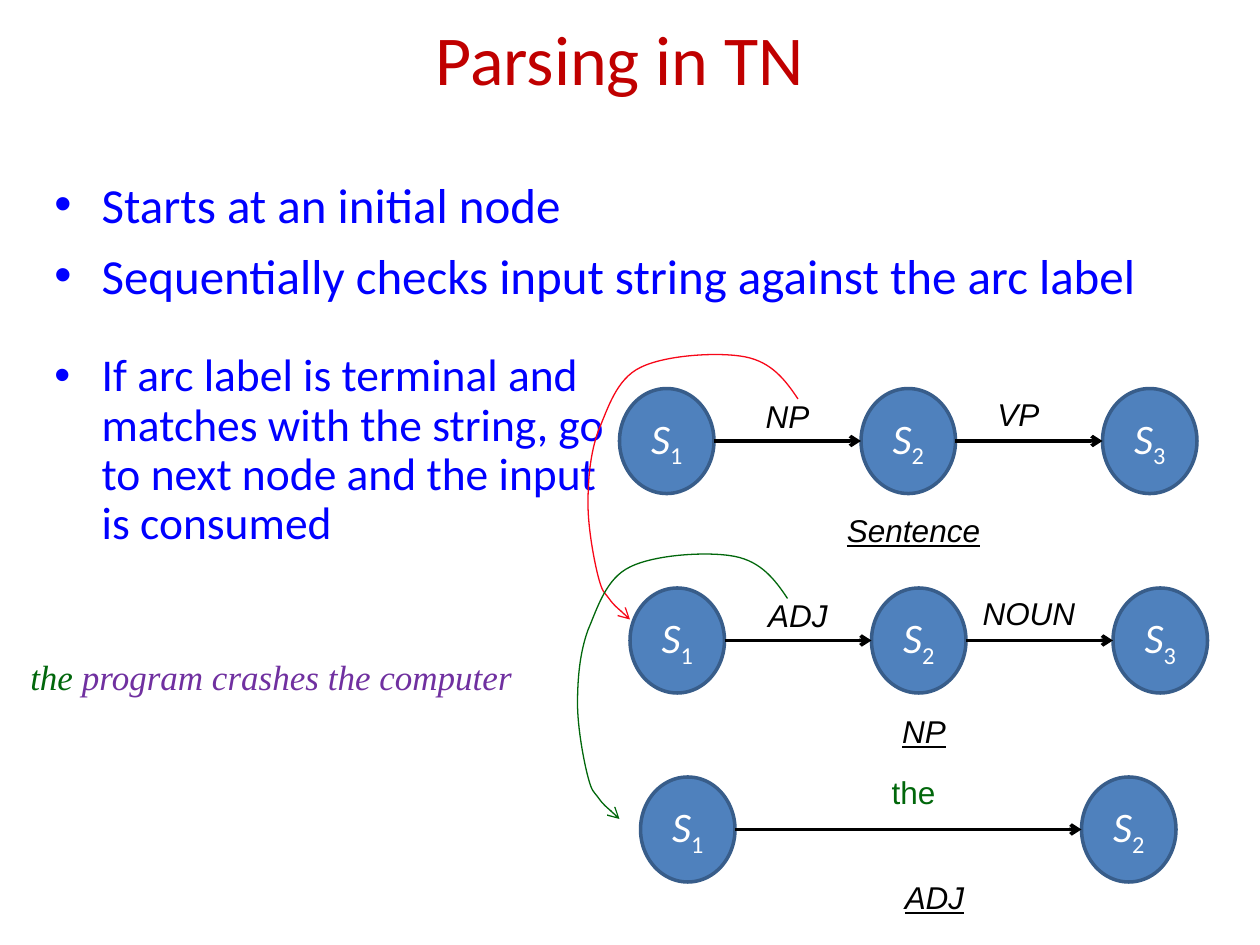
from collections import namedtuple
from dataclasses import dataclass

from lxml.etree import SubElement
from pptx import Presentation
from pptx.dml.color import RGBColor as Color
from pptx.enum.shapes import MSO_CONNECTOR as Connector, MSO_SHAPE as Preset
from pptx.enum.text import MSO_ANCHOR as Anchor, PP_ALIGN as Align
from pptx.oxml.ns import qn
from pptx.util import Pt

SCALE = 7620
Box = namedtuple("Box", "left top width height")
Span = namedtuple("Span", "text size color font italic underline baseline",
                  defaults=(False, False, None))


@dataclass(frozen=True)
class Theme:
    title: str = "C00000"
    body: str = "0000FF"
    node: str = "4F81BD"
    rim: str = "385D8A"
    white: str = "FFFFFF"
    ink: str = "000000"
    red: str = "F70718"
    green: str = "01670B"
    purple: str = "7030A0"
    sans: str = "Calibri"
    label: str = "Arial"
    serif: str = "Times New Roman"
    title_size: int = 40
    body_size: int = 28
    rule_size: int = 26
    node_size: int = 24
    example_size: int = 20
    label_size: int = 18


THEME = Theme()
NODE_WIDTH, NODE_HEIGHT = 90, 100
CURVE = [(200, 45), (188, 27), (175, 10), (150, 5), (125, 0), (74, 3), (50, 15),
         (27, 26), (19, 54), (10, 75), (2, 97), (0, 122), (0, 145),
         (0, 168), (6, 200), (10, 215), (14, 230), (15, 228), (20, 235),
         (25, 242), (33, 248), (40, 255)]


def emu(*lengths):
    return [round(length * SCALE) for length in lengths]


def add_spans(para, spans):
    for span in spans:
        run = para.add_run()
        run.text = span.text
        font = run.font
        font.name, font.size = span.font, Pt(span.size)
        font.italic, font.underline = span.italic, span.underline
        font.color.rgb = Color.from_string(span.color)
        if span.baseline:
            run._r.get_or_add_rPr().set("baseline", str(span.baseline))


def add_text(page, box, spans, align=Align.LEFT, anchor=Anchor.TOP, wrap=True):
    frame = page.shapes.add_textbox(*emu(*box)).text_frame
    frame.word_wrap, frame.vertical_anchor = wrap, anchor
    frame.paragraphs[0].alignment = align
    add_spans(frame.paragraphs[0], spans)


def add_title(page, box, text):
    span = Span(text, THEME.title_size, THEME.title, THEME.sans)
    add_text(page, box, [span], Align.CENTER, Anchor.MIDDLE)


def add_bullets(page, box, texts, size, before, spacing=1.0):
    frame = page.shapes.add_textbox(*emu(*box)).text_frame
    frame.word_wrap = True
    for index, text in enumerate(texts):
        para = frame.add_paragraph() if index else frame.paragraphs[0]
        para.space_before, para.line_spacing = Pt(before), spacing
        props = para._p.get_or_add_pPr()
        indent, = emu(45)
        props.set("marL", str(indent))
        props.set("indent", str(-indent))
        tint = SubElement(props, qn("a:buClr"))
        SubElement(tint, qn("a:srgbClr")).set("val", THEME.body)
        SubElement(props, qn("a:buFont")).set("typeface", THEME.label)
        SubElement(props, qn("a:buChar")).set("char", "•")
        add_spans(para, [Span(text, size, THEME.body, THEME.sans)])


def style_arrow(shape, color, width):
    shape.line.color.rgb = Color.from_string(color)
    shape.line.width = Pt(width)
    SubElement(shape.line._ln, qn("a:tailEnd")).set("type", "arrow")


def add_arrow(page, start, end, y):
    arrow = page.shapes.add_connector(Connector.STRAIGHT, *emu(start, y, end, y))
    style_arrow(arrow, THEME.ink, 2)
    SubElement(arrow._element.spPr, qn("a:effectLst"))


def add_node(page, box, number):
    node = page.shapes.add_shape(Preset.OVAL, *emu(*box))
    node.shadow.inherit = False
    node.fill.solid()
    node.fill.fore_color.rgb = Color.from_string(THEME.node)
    node.line.color.rgb = Color.from_string(THEME.rim)
    node.line.width = Pt(2)
    frame = node.text_frame
    frame.vertical_anchor = Anchor.MIDDLE
    frame.paragraphs[0].alignment = Align.CENTER
    look = (THEME.node_size, THEME.white, THEME.sans)
    add_spans(frame.paragraphs[0],
              [Span("S", *look, italic=True), Span(str(number), *look, baseline=-25000)])


def add_label(page, box, text, color=THEME.ink, italic=True, underline=False):
    span = Span(text, THEME.label_size, color, THEME.label, italic, underline)
    add_text(page, box, [span], Align.CENTER)


def add_network(page, box, count, caption, caption_top):
    step = (box.width - NODE_WIDTH) // (count - 1)
    lefts = [box.left + index * step for index in range(count)]
    for number, left in enumerate(lefts, 1):
        add_node(page, Box(left, box.top, NODE_WIDTH, NODE_HEIGHT), number)
    for start, end in zip(lefts, lefts[1:]):
        add_arrow(page, start + NODE_WIDTH, end, box.top + NODE_HEIGHT // 2)
    add_label(page, Box(box.left + 200, box.top + caption_top, 160, 48),
              caption, underline=True)


def add_phrase_network(page, box, labels, caption, caption_top):
    add_network(page, box, 3, caption, caption_top)
    for text, left, top in zip(labels, (100, 320), (2, 0)):
        add_label(page, Box(box.left + left, box.top + top, 120, 48), text)


def add_word_network(page, box, word, caption, caption_top):
    add_network(page, box, 2, caption, caption_top)
    add_label(page, Box(box.left + 180, box.top - 10, 160, 48),
              word, THEME.green, italic=False)


def add_descent(page, left, top, color):
    builder = page.shapes.build_freeform(*CURVE[0], scale=SCALE)
    builder.add_line_segments(CURVE[1:], close=False)
    curve = builder.convert_to_shape(*emu(left, top))
    curve.shadow.inherit = False
    curve.fill.background()
    style_arrow(curve, color, 0.75)
    outline = next(curve._element.iter(qn("a:path")))
    segments = outline.findall(qn("a:lnTo"))
    for first in range(0, len(segments), 3):
        bezier = SubElement(outline, qn("a:cubicBezTo"))
        for segment in segments[first:first + 3]:
            bezier.append(segment[0])
            outline.remove(segment)


def add_example(page, box):
    look = dict(size=THEME.example_size, font=THEME.serif, italic=True)
    add_text(page, box, [Span("the", color=THEME.green, **look),
                         Span(" program crashes the computer", color=THEME.purple, **look)],
             wrap=False)


def main():
    deck = Presentation()
    deck.slide_width, deck.slide_height = emu(1200, 900)
    page = deck.slides.add_slide(deck.slide_layouts[6])
    add_title(page, Box(20, 20, 1140, 70), "Parsing in TN")
    add_bullets(page, Box(40, 160, 1078, 160),
                ["Starts at an initial node",
                 "Sequentially checks input string against the arc label"],
                THEME.body_size, 7)
    add_phrase_network(page, Box(590, 370, 550, 100), ("NP", "VP"), "Sentence", 111)
    add_phrase_network(page, Box(600, 560, 550, 100), ("ADJ", "NOUN"), "NP", 112)
    add_word_network(page, Box(610, 740, 510, 100), "the", "ADJ", 90)
    add_bullets(page, Box(40, 330, 570, 220),
                ["If arc label is terminal and matches with the string, "
                 "go to next node and the input is consumed"],
                THEME.rule_size, 6.5, 0.9)
    add_example(page, Box(17, 618, 484, 53))
    add_descent(page, 560, 335, THEME.red)
    add_descent(page, 550, 525, THEME.green)
    deck.save("out.pptx")


if __name__ == "__main__":
    main()
